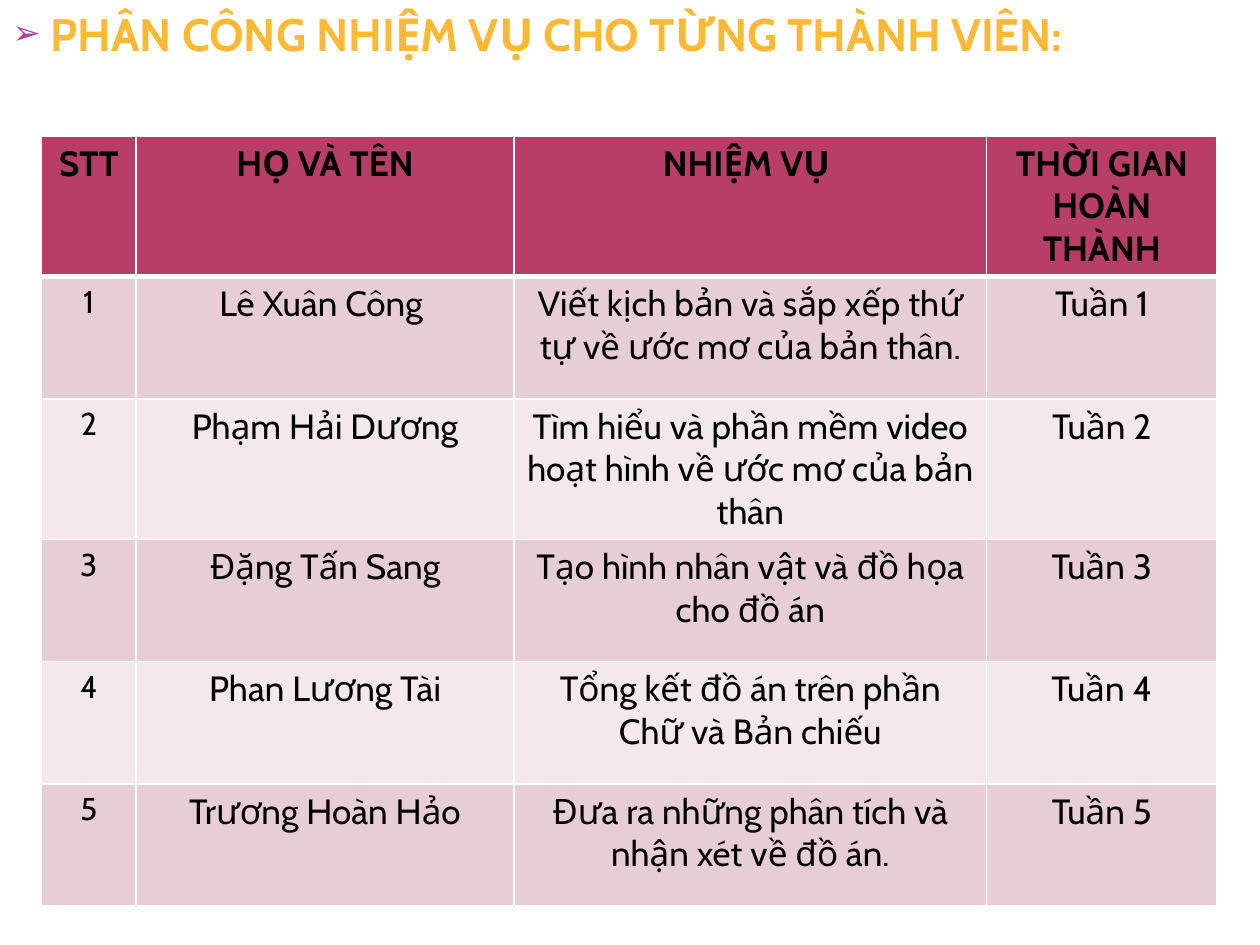
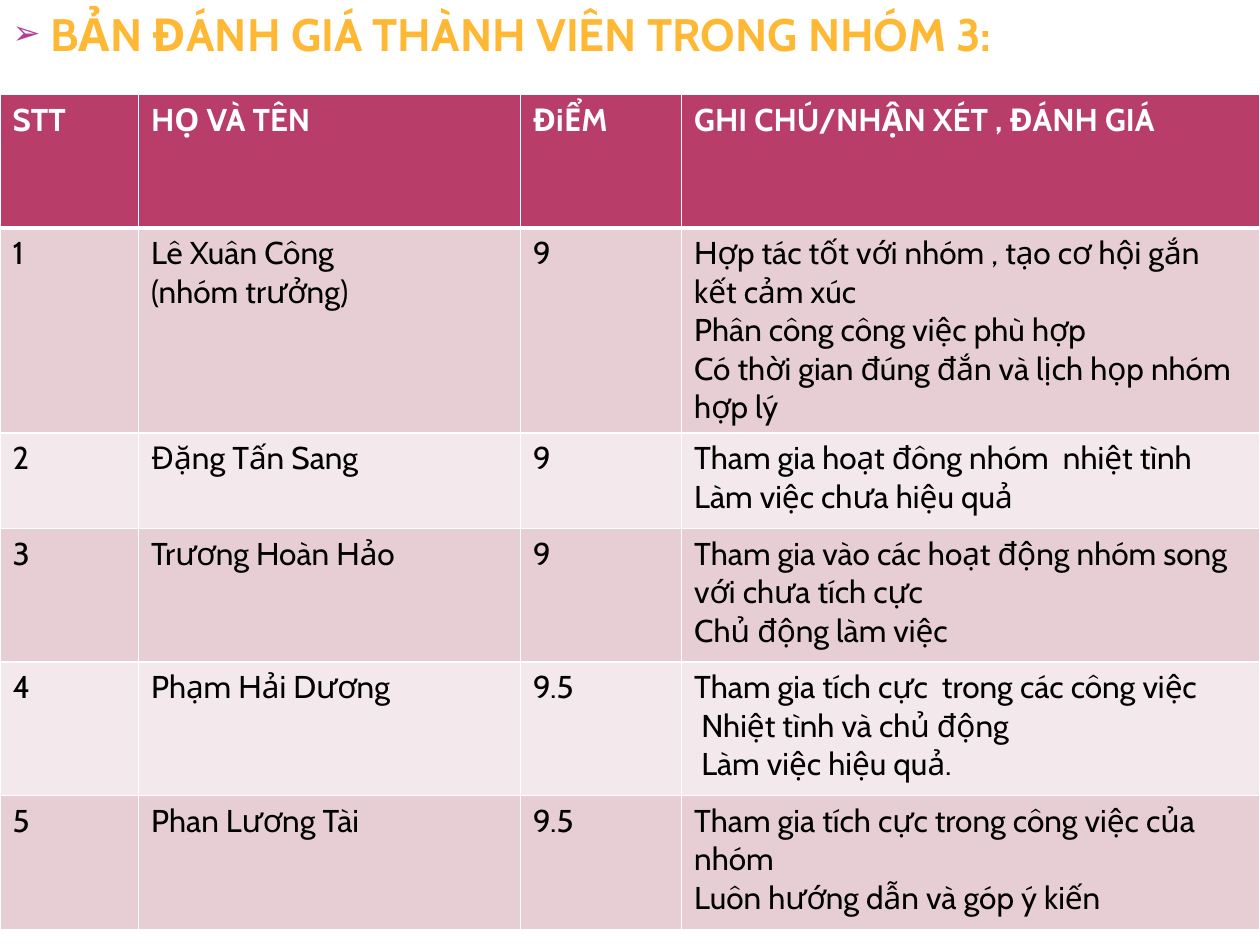
from pptx import Presentation
from pptx.dml.color import RGBColor
from pptx.enum.text import MSO_ANCHOR, MSO_AUTO_SIZE, PP_ALIGN
from pptx.oxml import parse_xml
from pptx.oxml.ns import nsdecls
from pptx.util import Inches, Pt


def color(value):
    return RGBColor.from_string(value)


class Deck:
    FONT = "Cabin"
    HEADING = "FFB833"
    BULLET = "B13F9A"
    HEADER_FILL = "B83D68"
    BAND_FILLS = ("E6CED4", "F3E8EB")
    BLACK = "000000"
    WHITE = "FFFFFF"

    def __init__(self):
        self.presentation = Presentation()
        self.presentation.slide_width = Inches(10)
        self.presentation.slide_height = Inches(7.5)
        self.slide = None

    def add_slide(self, heading):
        layout = self.presentation.slide_layouts[1]
        self.slide = self.presentation.slides.add_slide(layout)
        title, body = self.slide.placeholders
        title.element.getparent().remove(title.element)
        body.left, body.top = Inches(0), Inches(0)
        body.width = self.presentation.slide_width
        body.height = self.presentation.slide_height
        frame = body.text_frame
        frame.auto_size = MSO_AUTO_SIZE.NONE
        frame.vertical_anchor = MSO_ANCHOR.TOP
        paragraph = frame.paragraphs[0]
        paragraph.space_before = Pt(6)
        self.add_bullet(paragraph)
        self.add_run(paragraph, heading, 26, self.HEADING, True)

    def add_bullet(self, paragraph):
        properties = paragraph._p.get_or_add_pPr()
        properties.set("marL", str(Inches(0.3)))
        properties.set("indent", str(Inches(-0.3)))
        for bullet in (
            f'<a:buClr {nsdecls("a")}><a:srgbClr val="{self.BULLET}"/></a:buClr>',
            f'<a:buSzPct {nsdecls("a")} val="73000"/>',
            f'<a:buChar {nsdecls("a")} char="➢"/>',
        ):
            properties.append(parse_xml(bullet))

    def add_run(self, paragraph, text, size, text_color, bold=False):
        run = paragraph.add_run()
        run.text = text
        run.font.name = self.FONT
        run.font.size = Pt(size)
        run.font.bold = bold
        run.font.color.rgb = color(text_color)

    def add_borders(self, cell, is_header, below_header):
        properties = cell._tc.get_or_add_tcPr()
        widths = {"L": 1, "R": 1, "T": 3 if below_header else 1, "B": 3 if is_header else 1}
        for side, width in widths.items():
            properties.append(parse_xml(
                f'<a:ln{side} {nsdecls("a")} w="{Pt(width)}"><a:solidFill>'
                f'<a:srgbClr val="{self.WHITE}"/></a:solidFill></a:ln{side}>'
            ))

    def add_table(self, left, top, widths, heights, rows, header_color,
                  size, number_size, alignment):
        shape = self.slide.shapes.add_table(
            len(rows), len(widths), Inches(left), Inches(top),
            Inches(sum(widths)), Inches(sum(heights)),
        )
        table = shape.table
        for column, width in zip(table.columns, widths):
            column.width = Inches(width)
        for row, height in zip(table.rows, heights):
            row.height = Inches(height)
        for row_index, texts in enumerate(rows):
            is_header = row_index == 0
            fill = self.HEADER_FILL if is_header else self.BAND_FILLS[(row_index - 1) % 2]
            for column_index, text in enumerate(texts):
                cell = table.cell(row_index, column_index)
                self.add_borders(cell, is_header, row_index == 1)
                cell.fill.solid()
                cell.fill.fore_color.rgb = color(fill)
                is_number = column_index == 0 and not is_header
                self.fill_cell(
                    cell, text, number_size if is_number else size,
                    header_color if is_header else self.BLACK, is_header, alignment,
                )

    def fill_cell(self, cell, text, size, text_color, bold, alignment):
        frame = cell.text_frame
        for index, line in enumerate(text.split("\n")):
            paragraph = frame.add_paragraph() if index else frame.paragraphs[0]
            paragraph.alignment = alignment
            self.add_run(paragraph, line, size, text_color, bold)

    def save(self):
        self.presentation.save("out.pptx")


ASSIGNMENTS = [
    ("Lê Xuân Công ", "Viết kịch bản và sắp xếp thứ tự về ước mơ của bản thân."),
    ("Phạm Hải Dương", "Tìm hiểu và phần mềm video hoạt hình về ước mơ của bản thân"),
    ("Đặng Tấn Sang", "Tạo hình nhân vật và đồ họa cho đồ án"),
    ("Phan Lương Tài", "Tổng kết đồ án trên phần Chữ và Bản chiếu"),
    ("Trương Hoàn Hảo", "Đưa ra những phân tích và nhận xét về đồ án."),
]

REVIEWS = [
    ("Lê Xuân Công\n(nhóm trưởng)", "9",
     "Hợp tác tốt với nhóm , tạo cơ hội gắn kết cảm xúc\n"
     "Phân công công việc phù hợp\n"
     "Có thời gian đúng đắn và lịch họp nhóm hợp lý"),
    ("Đặng Tấn Sang", "9",
     "Tham gia hoạt đông nhóm  nhiệt tình\nLàm việc chưa hiệu quả"),
    ("Trương Hoàn Hảo", "9",
     "Tham gia vào các hoạt động nhóm song với chưa tích cực\nChủ động làm việc"),
    ("Phạm Hải Dương", "9.5",
     "Tham gia tích cực  trong các công việc\n"
     " Nhiệt tình và chủ động\n Làm việc hiệu quả."),
    ("Phan Lương Tài", "9.5",
     "Tham gia tích cực trong công việc của nhóm\nLuôn hướng dẫn và góp ý kiến"),
]

deck = Deck()

deck.add_slide("PHÂN CÔNG NHIỆM VỤ CHO TỪNG THÀNH VIÊN:")
assignment_rows = [("STT", "HỌ VÀ TÊN", "NHIỆM VỤ ", "THỜI GIAN HOÀN THÀNH")]
for number, (name, task) in enumerate(ASSIGNMENTS, 1):
    assignment_rows.append((str(number), name, task, f"Tuần {number}"))
deck.add_table(
    0.33, 1.08, [0.75, 3, 3.75, 1.83], [0.97] * 6, assignment_rows,
    header_color=Deck.BLACK, size=20, number_size=18, alignment=PP_ALIGN.CENTER,
)

deck.add_slide("BẢN ĐÁNH GIÁ THÀNH VIÊN TRONG NHÓM 3:")
review_rows = [("STT", "HỌ VÀ TÊN", "ĐiỂM", "GHI CHÚ/NHẬN XÉT , ĐÁNH GIÁ")]
for number, review in enumerate(REVIEWS, 1):
    review_rows.append((str(number), *review))
deck.add_table(
    0, 0.75, [1.1, 3.03, 1.28, 4.59], [1.06, 1.06, 0.76, 1.06, 1.06, 1.06], review_rows,
    header_color=Deck.WHITE, size=18, number_size=18, alignment=PP_ALIGN.LEFT,
)

deck.save()
